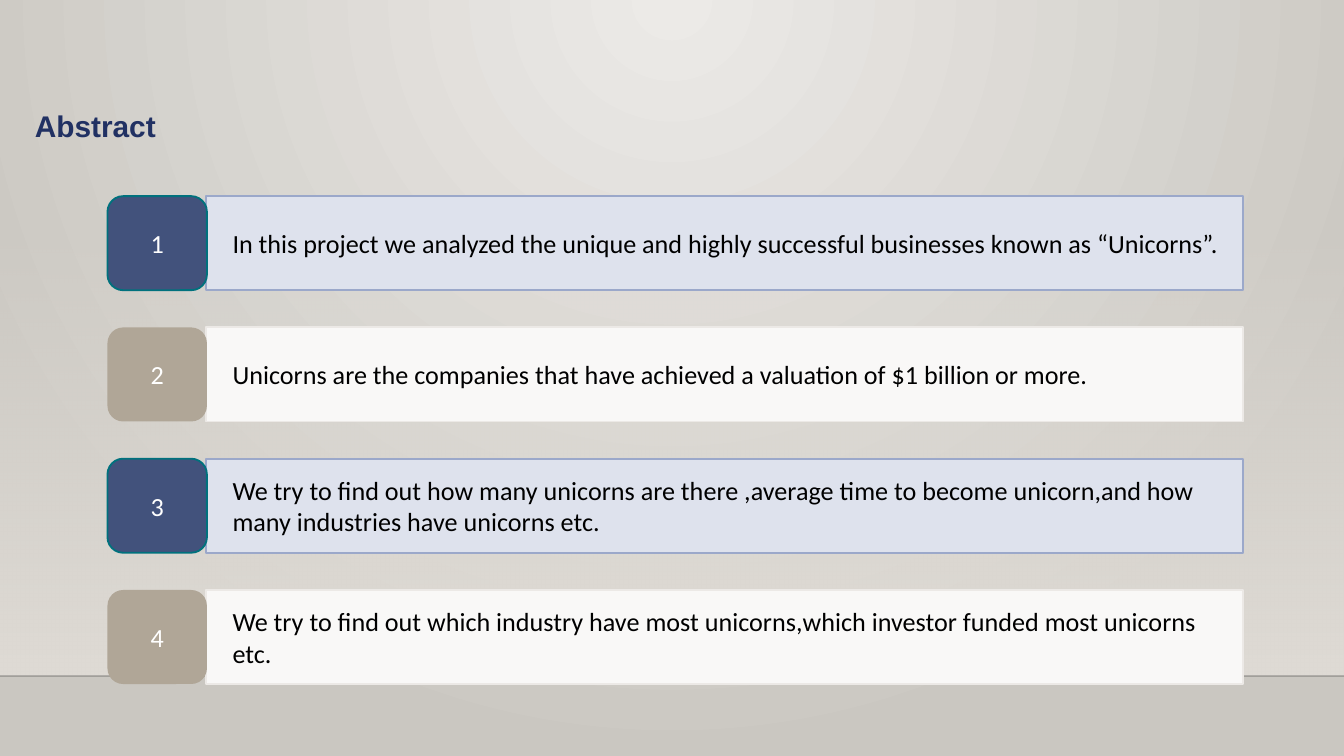
"""Build the Abstract slide: a title above four numbered statements."""
from lxml import etree
from pptx import Presentation
from pptx.dml.color import RGBColor
from pptx.enum.shapes import MSO_CONNECTOR, MSO_SHAPE
from pptx.enum.text import MSO_ANCHOR, PP_ALIGN
from pptx.oxml.ns import qn
from pptx.util import Inches, Pt

RECTANGLE, ROUNDED = MSO_SHAPE.RECTANGLE, MSO_SHAPE.ROUNDED_RECTANGLE
STRAIGHT = MSO_CONNECTOR.STRAIGHT
TOP, MIDDLE = MSO_ANCHOR.TOP, MSO_ANCHOR.MIDDLE
LEFT, CENTER = PP_ALIGN.LEFT, PP_ALIGN.CENTER

COLORS = {
    "glow": "ECEAE7", "edge": "CAC7C1", "floor": "DFDBD5", "horizon": "000001",
    "title": "213163", "text": "000000", "number": "FFFFFF",
    "blue_bar": "DEE2ED", "blue_border": "9BA8CA",
    "blue_tile": "42527C", "teal_border": "00717D",
    "sand_bar": "F9F8F7", "sand_border": "ECE9E6", "sand_tile": "B0A697",
}
ROW_STYLES = [
    ("blue_bar", "blue_border", "blue_tile", "teal_border"),
    ("sand_bar", "sand_border", "sand_tile", None),
]
STATEMENTS = [
    "In this project we analyzed the unique and highly successful businesses known as “Unicorns”.",
    "Unicorns are the companies that have achieved a valuation of $1 billion or more.",
    "We try to find out how many unicorns are there ,average time to become unicorn,"
    "and how many industries have unicorns etc.",
    "We try to find out which industry have most unicorns,which investor funded most unicorns etc.",
]
FIRST_TOP, LAST_TOP = 1.46, 4.39
ROW_HEIGHT = 0.7
HORIZON_TOP = 5.03


def rgb(name):
    return RGBColor.from_string(COLORS[name])


def set_alpha(color_element, percent):
    etree.SubElement(color_element, qn("a:alpha"), val=str(percent * 1000))


def set_gradient(fill, first, last):
    fill.gradient()
    for stop, position, name in zip(fill.gradient_stops, (0, 1), (first, last)):
        stop.position = position
        stop.color.rgb = rgb(name)


def style_paragraph(paragraph, size, font_name, color, align):
    paragraph.alignment = align
    paragraph.font.size = Pt(size)
    paragraph.font.name = font_name
    paragraph.font.color.rgb = rgb(color)


def paint_background(slide):
    set_gradient(slide.background.fill, "glow", "edge")
    gradient = next(slide.background._cSld.iter(qn("a:gradFill")))
    gradient.remove(gradient.find(qn("a:lin")))
    circle = etree.SubElement(gradient, qn("a:path"), path="circle")
    etree.SubElement(circle, qn("a:fillToRect"), l="43000", t="0", r="43000", b="100000")


def add_floor(slide):
    floor = slide.shapes.add_shape(
        RECTANGLE, 0, Inches(1.66), Inches(10), Inches(HORIZON_TOP - 1.66))
    floor.shadow.inherit = False
    floor.line.fill.background()
    set_gradient(floor.fill, "floor", "floor")
    floor.fill.gradient_angle = 270
    set_alpha(next(floor._element.iter(qn("a:srgbClr"))), 0)

    horizon = slide.shapes.add_connector(
        STRAIGHT, 0, Inches(HORIZON_TOP), Inches(10), Inches(HORIZON_TOP))
    horizon.line.width = Pt(1)
    horizon.line.color.rgb = rgb("horizon")
    set_alpha(next(horizon._element.iter(qn("a:srgbClr"))), 20)
    etree.SubElement(horizon._element.spPr, qn("a:effectLst"))


def set_title(slide, text):
    title = slide.shapes.title
    title.left, title.top = Inches(0.16), Inches(0.75)
    title.width, title.height = Inches(4.84), Inches(0.37)
    title.text_frame.text = text
    title.text_frame.vertical_anchor = TOP
    heading = title.text_frame.paragraphs[0]
    style_paragraph(heading, 16, "Arial", "title", LEFT)
    heading.font.bold = True


def add_block(slide, kind, left, top, width, text, fill, border, color, align):
    block = slide.shapes.add_shape(
        kind, Inches(left), Inches(top), Inches(width), Inches(ROW_HEIGHT))
    block.shadow.inherit = False
    block.fill.solid()
    block.fill.fore_color.rgb = rgb(fill)
    if border:
        block.line.color.rgb = rgb(border)
        block.line.width = Pt(1)
    else:
        block.line.fill.background()
    frame = block.text_frame
    frame.word_wrap = True
    frame.vertical_anchor = MIDDLE
    frame.text = text
    style_paragraph(frame.paragraphs[0], 14, "Calibri", color, align)
    return block


def add_row(slide, index, statement):
    top = FIRST_TOP + index * (LAST_TOP - FIRST_TOP) / (len(STATEMENTS) - 1)
    bar_fill, bar_border, tile_fill, tile_border = ROW_STYLES[index % 2]
    bar = add_block(slide, RECTANGLE, 1.53, top, 7.72, statement,
                    bar_fill, bar_border, "text", LEFT)
    bar.text_frame.margin_left = Inches(0.2)
    add_block(slide, ROUNDED, 0.8, top, 0.74, str(index + 1),
              tile_fill, tile_border, "number", CENTER)


def main():
    deck = Presentation()
    deck.slide_width = Inches(10)
    deck.slide_height = deck.slide_width * 9 // 16
    slide = deck.slides.add_slide(deck.slide_layouts[5])
    paint_background(slide)
    add_floor(slide)
    set_title(slide, "Abstract")
    for index, statement in enumerate(STATEMENTS):
        add_row(slide, index, statement)
    deck.save("out.pptx")


if __name__ == "__main__":
    main()
